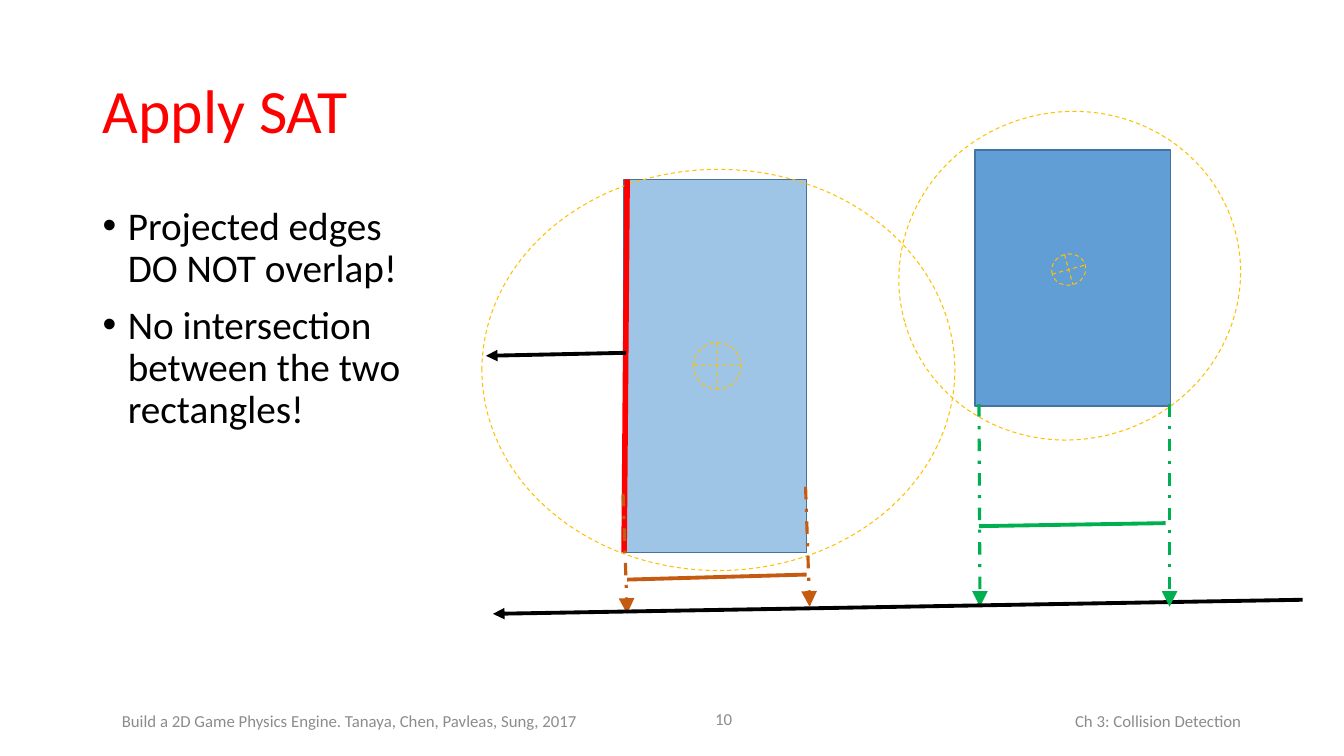
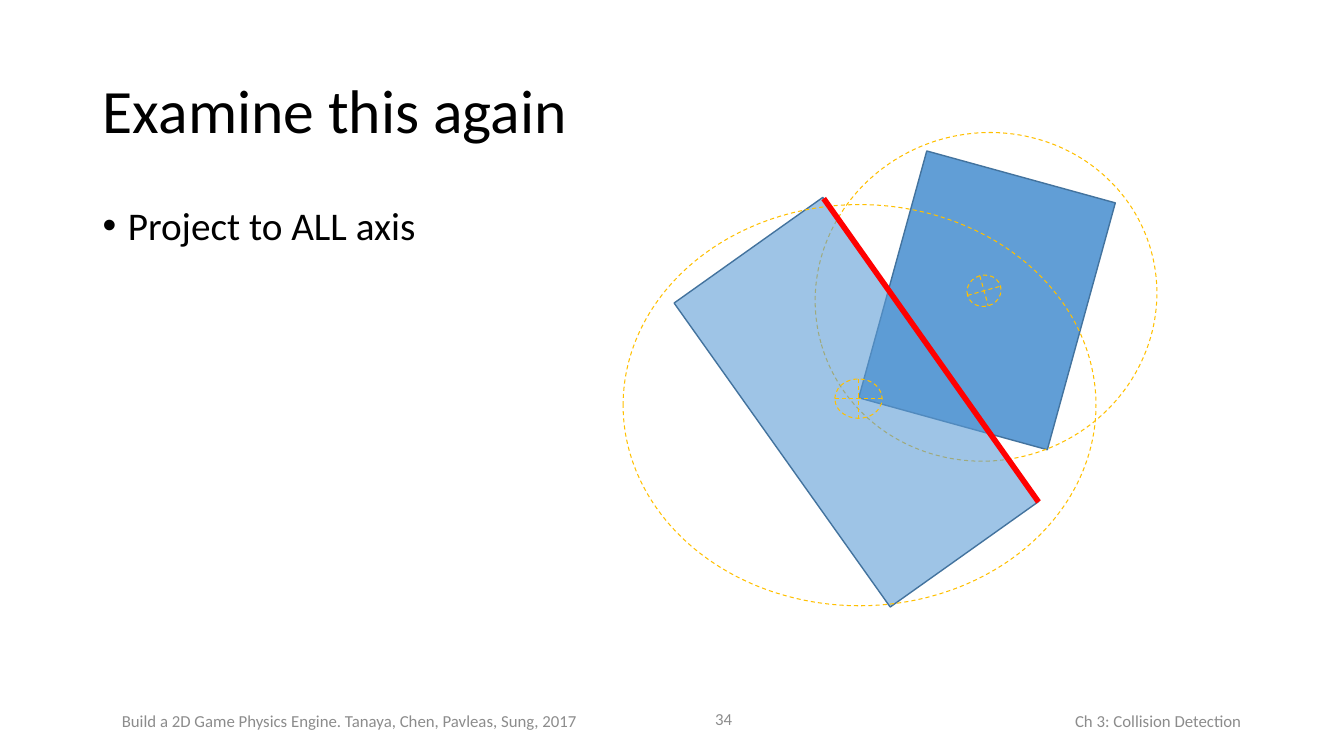
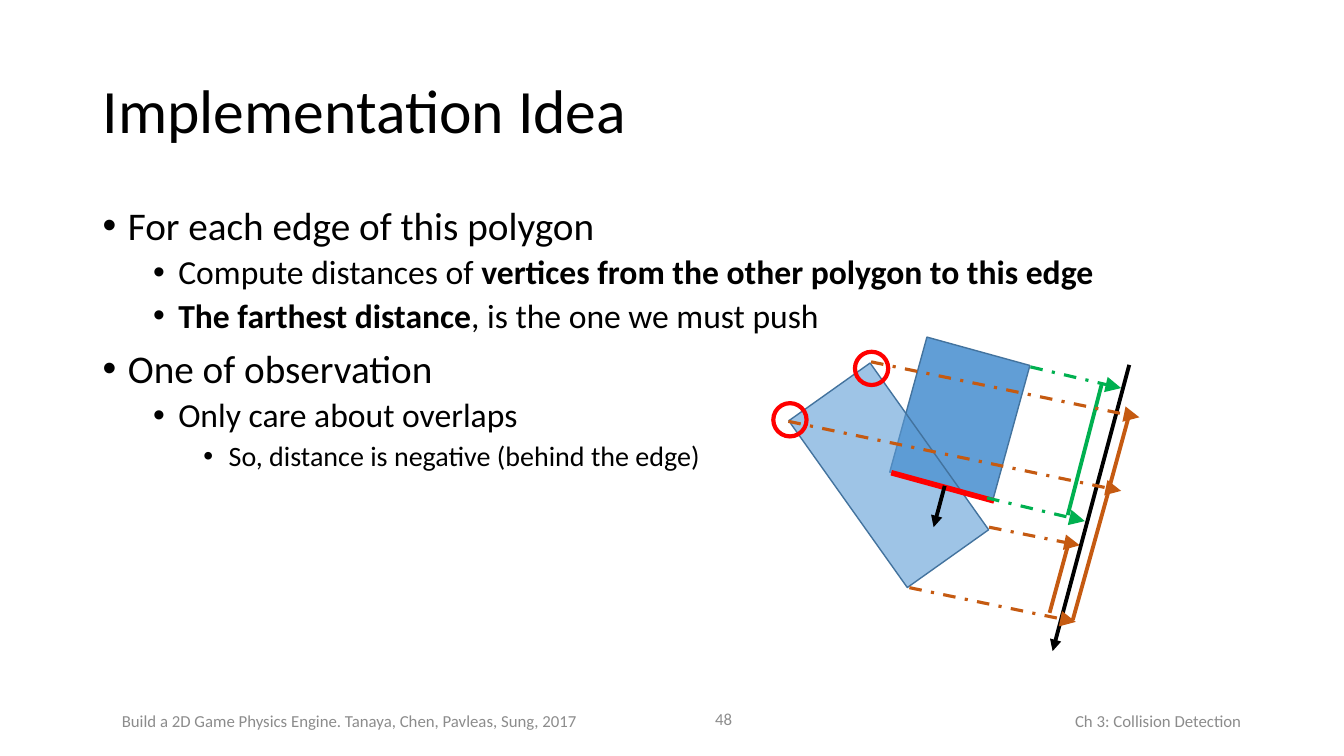
from dataclasses import dataclass
from typing import NamedTuple

from lxml import etree
from pptx import Presentation
from pptx.dml.color import RGBColor
from pptx.enum import dml, shapes, text
from pptx.oxml.ns import qn
from pptx.util import Emu, Pt

PX = 9144  # EMU, 100 px to the inch
KIND = shapes.MSO_SHAPE
ALIGN = text.PP_ALIGN


@dataclass(frozen=True)
class Theme:
    font: str = "Calibri"
    ink: str = "000000"
    grey: str = "8C8C8C"
    red: str = "FF0000"
    gold: str = "FFC000"
    green: str = "00B050"
    rust: str = "C55A11"
    blue: str = "5B9BD5"
    navy: str = "43739E"
    title: int = 44
    foot: int = 12
    body: tuple[int, ...] = (28, 24, 20)
    before: tuple[int, ...] = (10, 5, 5)


T = Theme()


class Box(NamedTuple):
    x: int
    y: int
    w: int
    h: int

    def emu(self) -> list[Emu]:
        return [Emu(n * PX) for n in self]


class Pen(NamedTuple):
    color: str
    width: float
    dash: dml.MSO_LINE | None = None
    arrow: str | None = None  # arrowhead size


class Look(NamedTuple):
    kind: KIND
    pen: Pen
    alpha: int | None = None  # percent of blue, None for no fill


class Form(NamedTuple):
    look: Look
    box: Box
    turn: float = 0


class Line(NamedTuple):
    pen: Pen
    start: tuple[int, int]
    end: tuple[int, int]


class Run(NamedTuple):
    words: str
    bold: bool = False


class Item(NamedTuple):
    level: int
    runs: list[Run]


class Page(NamedTuple):
    number: int
    title: str
    items: list[Item]
    forms: list[Form]
    lines: list[Line]
    color: str = T.ink


class Foot(NamedTuple):
    box: Box
    words: str
    align: ALIGN


EDGE = Pen(T.red, 4)
AXIS = Pen(T.ink, 2.75, arrow="med")
RUST = Pen(T.rust, 2.75)
GREEN = Pen(T.green, 2.75)
RUST_RAY = Pen(T.rust, 2.25, dml.MSO_LINE.DASH_DOT, "lg")
GREEN_RAY = Pen(T.green, 2.25, dml.MSO_LINE.DASH_DOT, "lg")
RIM = Pen(T.navy, 1)
GUIDE = Pen(T.gold, 0.75, dml.MSO_LINE.DASH)

DARK = Look(KIND.RECTANGLE, RIM, 96)
PALE = Look(KIND.RECTANGLE, RIM, 59)
BOUND = Look(KIND.OVAL, GUIDE)
HUB = Look(KIND.FLOWCHART_OR, GUIDE)
MARK = Look(KIND.ROUNDED_RECTANGLE, Pen(T.red, 3))

TITLE = Box(92, 40, 1150, 145)
BODY = Box(92, 200, 1150, 476)
TILT, LEAN, SPIN = 15.4, 324.6, 344.4

PAGES = [
    Page(
        10, "Apply SAT",
        [Item(0, [Run("Projected edges\nDO NOT overlap!")]),
         Item(0, [Run("No intersection\nbetween the two\nrectangles!")])],
        [Form(DARK, Box(967, 149, 194, 254)),
         Form(BOUND, Box(891, 111, 340, 325), SPIN),
         Form(HUB, Box(1043, 252, 34, 31), SPIN),
         Form(PALE, Box(619, 178, 181, 370)),
         Form(BOUND, Box(478, 168, 469, 398)),
         Form(HUB, Box(688, 340, 47, 46))],
        [Line(EDGE, (619, 548), (622, 178)),
         Line(AXIS, (621, 350), (482, 353)),
         Line(RUST, (622, 575), (800, 570)),
         Line(GREEN, (971, 522), (1156, 519)),
         Line(GREEN_RAY, (971, 401), (972, 602)),
         Line(RUST_RAY, (618, 490), (622, 609)),
         Line(AXIS, (1292, 595), (489, 609)),
         Line(RUST_RAY, (799, 483), (803, 602)),
         Line(GREEN_RAY, (1160, 401), (1160, 602))],
        T.red,
    ),
    Page(
        34, "Examine this again",
        [Item(0, [Run("Project to ALL axis")])],
        [Form(DARK, Box(882, 171, 194, 254), TILT),
         Form(BOUND, Box(808, 132, 340, 325), SPIN),
         Form(HUB, Box(959, 273, 34, 31), SPIN),
         Form(PALE, Box(759, 214, 181, 370), LEAN),
         Form(BOUND, Box(618, 203, 469, 398)),
         Form(HUB, Box(828, 376, 47, 39))],
        [Line(EDGE, (817, 197), (1030, 498))],
    ),
    Page(
        48, "Implementation Idea",
        [Item(0, [Run("For each edge of this polygon")]),
         Item(1, [Run("Compute distances of "),
                  Run("vertices from the other polygon to this edge", True)]),
         Item(1, [Run("The farthest distance", True),
                  Run(", is the one we must push")]),
         Item(0, [Run("One of observation")]),
         Item(1, [Run("Only care about overlaps")]),
         Item(2, [Run("So, distance is negative (behind the edge)")])],
        [Form(DARK, Box(899, 346, 106, 139), TILT),
         Form(PALE, Box(832, 370, 99, 203), LEAN),
         Form(MARK, Box(848, 349, 33, 33)),
         Form(MARK, Box(767, 400, 33, 33))],
        [Line(EDGE, (986, 497), (884, 469)),
         Line(AXIS, (937, 482), (926, 523)),
         Line(RUST_RAY, (981, 523), (1071, 541)),
         Line(RUST, (1101, 481), (1119, 415)),
         Line(GREEN_RAY, (1022, 364), (1112, 385)),
         Line(GREEN, (1093, 380), (1059, 511)),
         Line(AXIS, (1120, 362), (1044, 646)),
         Line(GREEN_RAY, (979, 494), (1076, 517)),
         Line(RUST_RAY, (902, 583), (1067, 617)),
         Line(RUST_RAY, (864, 359), (1130, 414)),
         Line(RUST_RAY, (782, 418), (1112, 487)),
         Line(RUST, (1041, 608), (1059, 542)),
         Line(RUST, (1064, 615), (1099, 489))],
    ),
]


def style(para, size: int, color: str) -> None:
    font = para.font
    font.name, font.size = T.font, Pt(size)
    font.color.rgb = RGBColor.from_string(color)


def stroke(line, pen: Pen) -> None:
    line.color.rgb = RGBColor.from_string(pen.color)
    line.width = Pt(pen.width)
    if pen.dash:
        line.dash_style = pen.dash


def add_title(slide, page: Page) -> None:
    title = slide.shapes.title
    title.left, title.top, title.width, title.height = TITLE.emu()
    frame = title.text_frame
    frame.text = page.title
    frame.auto_size = text.MSO_AUTO_SIZE.NONE
    frame.vertical_anchor = text.MSO_ANCHOR.MIDDLE
    para = frame.paragraphs[0]
    para.alignment, para.line_spacing = ALIGN.LEFT, 0.9
    style(para, T.title, page.color)


def add_bullet(para, level: int) -> None:
    props = para._p.get_or_add_pPr()
    props.set("marL", str((25 + 50 * level) * PX))
    props.set("indent", str(-25 * PX))
    etree.SubElement(props, qn("a:buFont")).set("typeface", "Arial")
    etree.SubElement(props, qn("a:buChar")).set("char", "•")


def add_body(slide, items: list[Item]) -> None:
    frame = slide.shapes.add_textbox(*BODY.emu()).text_frame
    frame.word_wrap = True
    for n, item in enumerate(items):
        para = frame.add_paragraph() if n else frame.paragraphs[0]
        add_bullet(para, item.level)
        para.level, para.line_spacing = item.level, 0.9
        if n:
            para.space_before = Pt(T.before[item.level])
        style(para, T.body[item.level], T.ink)
        for words, bold in item.runs:
            for k, part in enumerate(words.split("\n")):
                if k:
                    para.add_line_break()
                run = para.add_run()
                run.text = part
                if bold:
                    run.font.bold = True


def add_form(slide, form: Form) -> None:
    look = form.look
    shape = slide.shapes.add_shape(look.kind, *form.box.emu())
    shape.rotation = form.turn
    shape.shadow.inherit = False
    if look.kind == KIND.ROUNDED_RECTANGLE:
        shape.adjustments[0] = 0.5
    if look.alpha is None:
        shape.fill.background()
    else:
        shape.fill.solid()
        shape.fill.fore_color.rgb = RGBColor.from_string(T.blue)
        color = shape._element.spPr.find(qn("a:solidFill"))[0]
        etree.SubElement(color, qn("a:alpha")).set("val", str(look.alpha * 1000))
    stroke(shape.line, look.pen)


def add_line(slide, line: Line) -> None:
    ends = [Emu(n * PX) for n in line.start + line.end]
    link = slide.shapes.add_connector(shapes.MSO_CONNECTOR.STRAIGHT, *ends)
    stroke(link.line, line.pen)
    props = link._element.spPr
    if line.pen.arrow:
        tip = etree.SubElement(props.find(qn("a:ln")), qn("a:tailEnd"))
        tip.set("type", "triangle")
        tip.set("w", line.pen.arrow)
        tip.set("len", line.pen.arrow)
    etree.SubElement(props, qn("a:effectLst"))


def add_feet(slide, number: int) -> None:
    feet = [
        Foot(Box(760, 695, 481, 40), "Ch 3: Collision Detection", ALIGN.RIGHT),
        Foot(Box(111, 695, 505, 40),
             "Build a 2D Game Physics Engine. Tanaya, Chen, Pavleas, Sung, 2017",
             ALIGN.LEFT),
        Foot(Box(617, 693, 119, 40), str(number), ALIGN.RIGHT),
    ]
    for foot in feet:
        frame = slide.shapes.add_textbox(*foot.box.emu()).text_frame
        frame.word_wrap = True
        frame.vertical_anchor = text.MSO_ANCHOR.MIDDLE
        para = frame.paragraphs[0]
        para.text, para.alignment = foot.words, foot.align
        style(para, T.foot, T.grey)


def main() -> None:
    deck = Presentation()
    deck.slide_width, deck.slide_height = Emu(1333 * PX), Emu(750 * PX)
    for page in PAGES:
        slide = deck.slides.add_slide(deck.slide_layouts[5])
        add_feet(slide, page.number)
        add_title(slide, page)
        add_body(slide, page.items)
        marks = [form for form in page.forms if form.look is MARK]
        for form in page.forms:
            if form not in marks:
                add_form(slide, form)
        for line in page.lines:
            add_line(slide, line)
        for form in marks:
            add_form(slide, form)
    deck.save("out.pptx")


if __name__ == "__main__":
    main()
